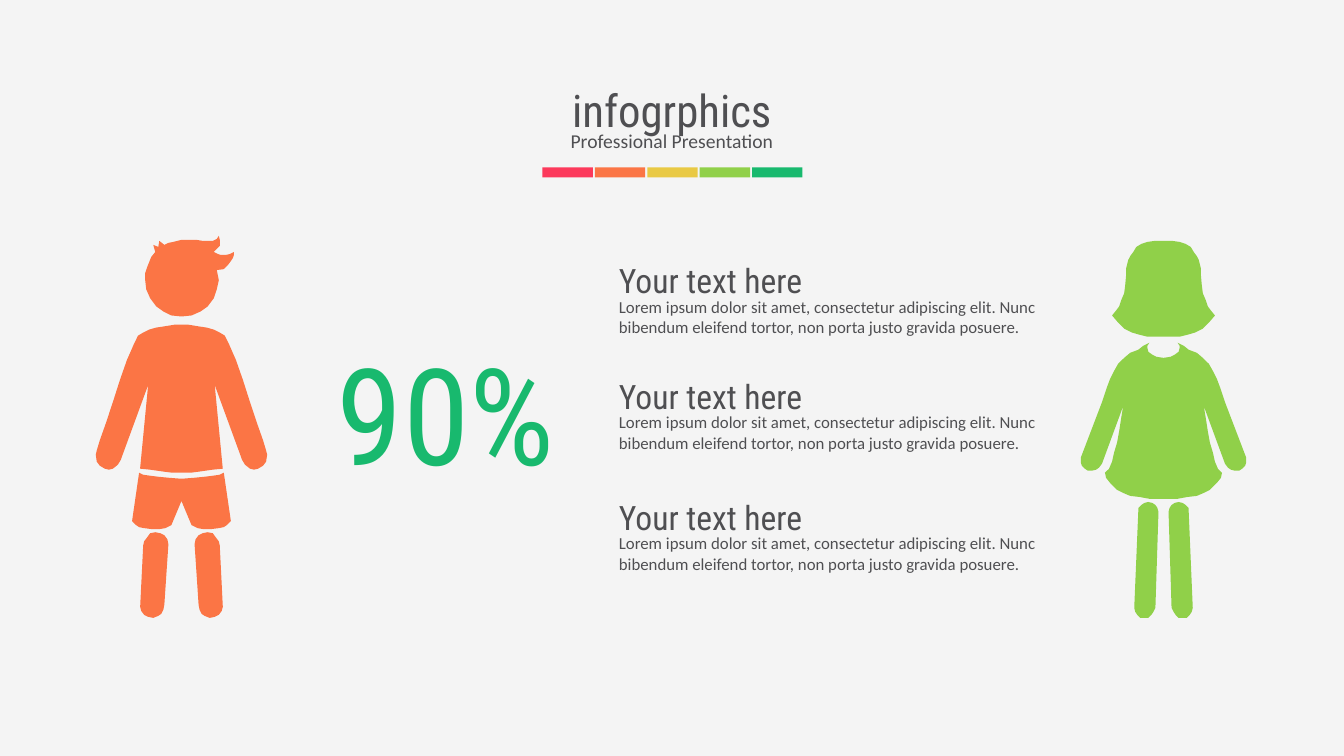
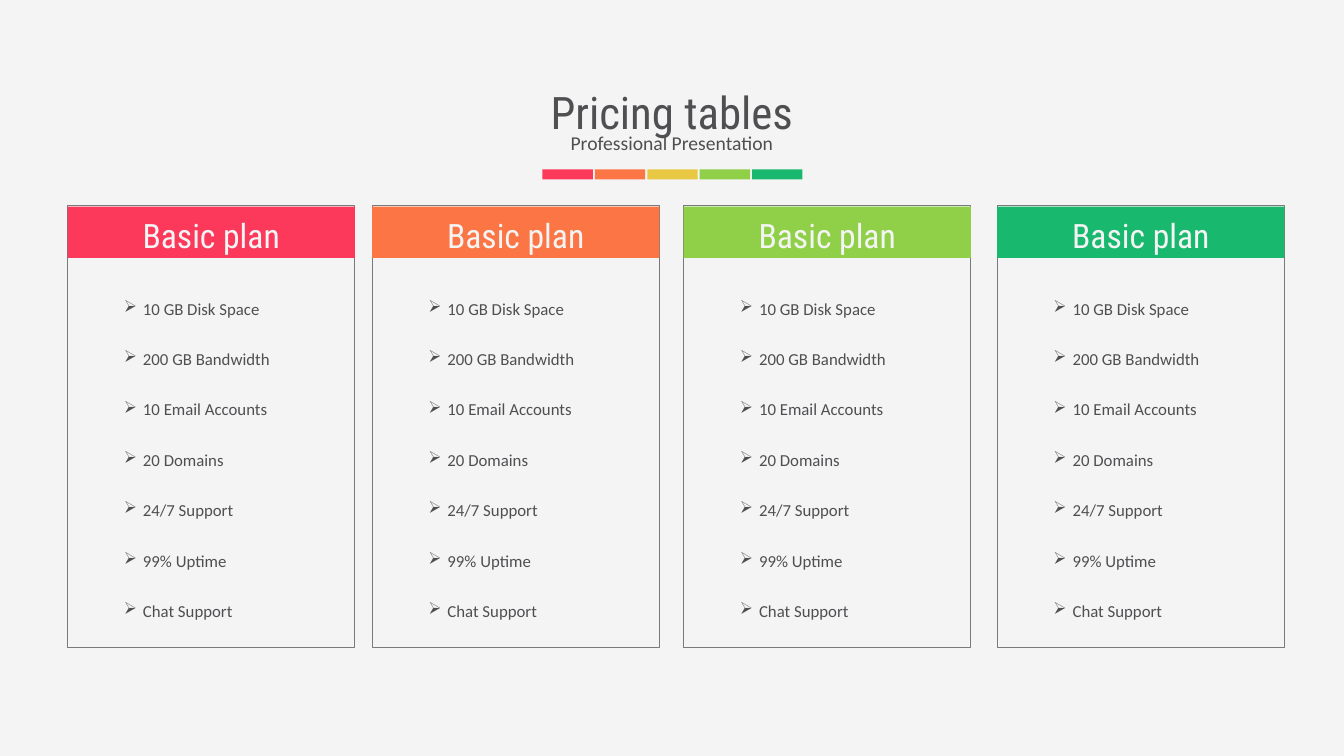
"""Build an infographic slide and a pricing slide that share one header style."""
from dataclasses import dataclass

from lxml.etree import SubElement
from pptx import Presentation
from pptx.dml.color import RGBColor
from pptx.enum.shapes import MSO_SHAPE
from pptx.enum.text import MSO_AUTO_SIZE, PP_ALIGN
from pptx.oxml.ns import qn
from pptx.presentation import Presentation as Deck
from pptx.slide import Slide
from pptx.util import Inches, Pt

COLORS = {
    "background": "F4F4F4",
    "text": "4F4F52",
    "border": "7A7A7A",
    "red": "FC395B",
    "orange": "FB7545",
    "yellow": "E9C944",
    "lime": "90D049",
    "green": "18B96E",
}
BAND_COLORS = ("red", "orange", "yellow", "lime", "green")
HEADING_FONT = "Roboto Condensed"
BODY_FONT = "Calibri"
SLIDE_WIDTH, SLIDE_HEIGHT = 13.33, 7.5

Points = list[tuple[float, float]]


@dataclass(frozen=True)
class Box:
    left: float
    top: float
    width: float
    height: float

    def lengths(self) -> list[Inches]:
        return [Inches(n) for n in (self.left, self.top, self.width, self.height)]


@dataclass(frozen=True)
class TextStyle:
    font: str
    size: int
    color: str = "text"
    align: PP_ALIGN = PP_ALIGN.LEFT
    spacing: float | None = None
    bullet: str | None = None


@dataclass(frozen=True)
class Plan:
    left: float
    color: str


@dataclass(frozen=True)
class Figure:
    axis: float
    color: str
    halves: tuple[Points, ...]
    leg: Points
    head: Points


TITLE = TextStyle(HEADING_FONT, 32, align=PP_ALIGN.CENTER)
SUBTITLE = TextStyle(BODY_FONT, 14, align=PP_ALIGN.CENTER)
CAPTION = TextStyle(HEADING_FONT, 24)
BODY = TextStyle(BODY_FONT, 12)
PERCENTAGE = TextStyle(HEADING_FONT, 96, "green", PP_ALIGN.CENTER)
PLAN_NAME = TextStyle(HEADING_FONT, 24, "background", PP_ALIGN.CENTER)
FEATURE = TextStyle(BODY_FONT, 12, spacing=2.5, bullet="➢")

CAPTION_TOPS = (2.53, 3.68, 4.88)
LOREM = (
    "Lorem ipsum dolor sit amet, consectetur adipiscing elit. "
    "Nunc bibendum eleifend tortor, non porta justo gravida posuere."
)
FEATURES = (
    "10 GB Disk Space",
    "200 GB Bandwidth",
    "10 Email Accounts",
    "20 Domains",
    "24/7 Support",
    "99% Uptime",
    "Chat Support",
)
PLANS = (
    Plan(0.67, "red"),
    Plan(3.69, "orange"),
    Plan(6.78, "lime"),
    Plan(9.89, "green"),
)

BOY_SHIRT = [
    (1.8, 3.22), (1.86, 3.22), (1.98, 3.24), (2.05, 3.25), (2.12, 3.27),
    (2.18, 3.3), (2.23, 3.33), (2.27, 3.41), (2.3, 3.48), (2.34, 3.57),
    (2.41, 3.77), (2.48, 3.99), (2.55, 4.2), (2.61, 4.37), (2.64, 4.47),
    (2.65, 4.51), (2.64, 4.58), (2.61, 4.62), (2.56, 4.65), (2.52, 4.66),
    (2.48, 4.65), (2.43, 4.61), (2.4, 4.56), (2.39, 4.53), (2.13, 3.82),
    (2.21, 4.65), (2.11, 4.66), (1.97, 4.68), (1.89, 4.69), (1.8, 4.69),
]
BOY_SHORTS = [
    (1.8, 4.75), (1.93, 4.74), (2.03, 4.73), (2.11, 4.72), (2.18, 4.71),
    (2.22, 4.69), (2.29, 5.17), (2.25, 5.21), (2.22, 5.23), (2.17, 5.24),
    (2.09, 5.25), (2.02, 5.25), (1.96, 5.24), (1.9, 5.21), (1.8, 4.97),
]
BOY_LEG = [
    (2.06, 5.28), (2.11, 5.29), (2.14, 5.33), (2.17, 5.37), (2.18, 5.41),
    (2.21, 6.02), (2.2, 6.06), (2.17, 6.1), (2.13, 6.12), (2.08, 6.13),
    (2.03, 6.11), (2, 6.09), (1.98, 6.05), (1.97, 6), (1.93, 5.4),
    (1.94, 5.35), (1.97, 5.31), (2.01, 5.29),
]
BOY_HEAD = [
    (2.17, 2.34), (2.18, 2.38), (2.18, 2.44), (2.15, 2.47), (2.12, 2.5),
    (2.16, 2.52), (2.19, 2.53), (2.24, 2.53), (2.28, 2.52), (2.32, 2.5),
    (2.32, 2.53), (2.31, 2.56), (2.29, 2.59), (2.26, 2.63), (2.22, 2.67),
    (2.15, 2.68), (2.17, 2.78), (2.15, 2.87), (2.12, 2.96), (2.06, 3.04),
    (1.99, 3.09), (1.9, 3.13), (1.8, 3.14), (1.7, 3.13), (1.62, 3.09),
    (1.55, 3.04), (1.49, 2.96), (1.45, 2.87), (1.44, 2.78), (1.44, 2.71),
    (1.46, 2.65), (1.48, 2.6), (1.5, 2.55), (1.54, 2.5), (1.52, 2.43),
    (1.57, 2.45), (1.58, 2.39), (1.63, 2.43), (1.67, 2.41), (1.72, 2.4),
    (1.8, 2.38), (1.95, 2.38), (2.01, 2.39), (2.11, 2.39), (2.15, 2.37),
]
GIRL_DRESS = [
    (11.54, 3.55), (11.61, 3.54), (11.65, 3.52), (11.69, 3.49), (11.7, 3.45),
    (11.7, 3.43), (11.68, 3.4), (11.74, 3.43), (11.79, 3.47), (11.87, 3.5),
    (11.93, 3.55), (11.99, 3.61), (12.03, 3.68), (12.07, 3.76), (12.1, 3.84),
    (12.15, 3.99), (12.36, 4.54), (12.36, 4.59), (12.35, 4.62), (12.32, 4.65),
    (12.29, 4.67), (12.25, 4.67), (12.21, 4.66), (12.18, 4.64), (12.15, 4.6),
    (11.94, 4.03), (11.96, 4.15), (11.98, 4.28), (12, 4.39), (12.03, 4.49),
    (12.05, 4.58), (12.08, 4.65), (12.12, 4.69), (12.11, 4.74), (12.07, 4.79),
    (12.04, 4.82), (12, 4.86), (11.94, 4.89), (11.87, 4.92), (11.78, 4.93),
    (11.67, 4.95), (11.54, 4.95),
]
GIRL_LEG = [
    (11.69, 4.98), (11.73, 4.99), (11.76, 5.01), (11.79, 5.04), (11.79, 5.08),
    (11.83, 6.03), (11.82, 6.07), (11.8, 6.1), (11.77, 6.13), (11.69, 6.13),
    (11.66, 6.1), (11.64, 6.07), (11.62, 6.03), (11.59, 5.08), (11.6, 5.04),
    (11.62, 5.01), (11.65, 4.99),
]
GIRL_HAIR = [
    (11.54, 2.39), (11.63, 2.39), (11.7, 2.4), (11.76, 2.42), (11.81, 2.45),
    (11.84, 2.5), (11.87, 2.54), (11.89, 2.58), (11.9, 2.62), (11.91, 2.66),
    (11.91, 2.72), (11.92, 2.83), (11.93, 2.91), (11.96, 2.98), (11.98, 3.04),
    (12.01, 3.08), (12.05, 3.13), (11.99, 3.2), (11.93, 3.26), (11.85, 3.3),
    (11.78, 3.32), (11.7, 3.34), (11.54, 3.34),
]


def mirror(points: Points, axis: float) -> Points:
    return [(2 * axis - x, y) for x, y in reversed(points)]


BOY = Figure(1.8, "orange", (BOY_SHIRT, BOY_SHORTS), BOY_LEG, BOY_HEAD)
GIRL = Figure(
    11.54, "lime", (GIRL_DRESS,), GIRL_LEG, GIRL_HAIR + mirror(GIRL_HAIR, 11.54)
)


def rgb(color: str) -> RGBColor:
    return RGBColor.from_string(COLORS[color])


def add_text(slide: Slide, box: Box, lines: tuple[str, ...], style: TextStyle) -> None:
    frame = slide.shapes.add_textbox(*box.lengths()).text_frame
    frame.word_wrap = True
    frame.auto_size = MSO_AUTO_SIZE.SHAPE_TO_FIT_TEXT
    frame.text = "\n".join(lines)
    for paragraph in frame.paragraphs:
        paragraph.alignment = style.align
        if style.spacing:
            paragraph.line_spacing = style.spacing
        if style.bullet:
            properties = paragraph._p.get_or_add_pPr()
            properties.set("marL", str(Inches(0.19)))
            properties.set("indent", str(Inches(-0.19)))
            SubElement(properties, qn("a:buChar")).set("char", style.bullet)
        paragraph.font.name = style.font
        paragraph.font.size = Pt(style.size)
        paragraph.font.color.rgb = rgb(style.color)


def add_rectangle(
    slide: Slide, box: Box, fill: str | None = None, line: str | None = None
) -> None:
    rectangle = slide.shapes.add_shape(MSO_SHAPE.RECTANGLE, *box.lengths())
    rectangle.shadow.inherit = False
    if fill:
        rectangle.fill.solid()
        rectangle.fill.fore_color.rgb = rgb(fill)
    else:
        rectangle.fill.background()
    if line:
        rectangle.line.color.rgb = rgb(line)
        rectangle.line.width = Pt(0)
    else:
        rectangle.line.fill.background()


def add_outline(slide: Slide, points: Points, color: str) -> None:
    start, *rest = [(Inches(x), Inches(y)) for x, y in points]
    builder = slide.shapes.build_freeform(*start)
    builder.add_line_segments(rest, close=True)
    outline = builder.convert_to_shape()
    outline.shadow.inherit = False
    outline.fill.solid()
    outline.fill.fore_color.rgb = rgb(color)
    outline.line.fill.background()


def add_figure(slide: Slide, figure: Figure) -> None:
    parts = [half + mirror(half, figure.axis) for half in figure.halves]
    parts += [figure.leg, mirror(figure.leg, figure.axis), figure.head]
    for points in parts:
        add_outline(slide, points, figure.color)


def add_slide(deck: Deck, title: str, top: float) -> Slide:
    slide = deck.slides.add_slide(deck.slide_layouts[6])
    slide.background.fill.solid()
    slide.background.fill.fore_color.rgb = rgb("background")
    add_text(slide, Box(0, top, SLIDE_WIDTH, 0.64), (title,), TITLE)
    subtitle = Box(0.68, top + 0.46, 11.97, 0.34)
    add_text(slide, subtitle, ("Professional Presentation",), SUBTITLE)
    for index, color in enumerate(BAND_COLORS):
        band = Box(5.38 + 0.52 * index, top + 0.89, 0.5, 0.1)
        add_rectangle(slide, band, fill=color)
    return slide


def add_infographic(deck: Deck) -> None:
    slide = add_slide(deck, "infogrphics", 0.77)
    for figure in (BOY, GIRL):
        add_figure(slide, figure)
    for top in CAPTION_TOPS:
        add_text(slide, Box(6.04, top + 0.36, 4.67, 0.5), (LOREM,), BODY)
        add_text(slide, Box(6.04, top, 4.67, 0.5), ("Your text here",), CAPTION)
    add_text(slide, Box(3.12, 3.24, 2.6, 1.72), ("90%",), PERCENTAGE)


def add_pricing(deck: Deck) -> None:
    slide = add_slide(deck, "Pricing tables", 0.79)
    for plan in PLANS:
        add_rectangle(slide, Box(plan.left, 2.04, 2.85, 4.38), line="border")
        add_text(slide, Box(plan.left + 0.46, 2.61, 1.93, 3.64), FEATURES, FEATURE)
        add_rectangle(slide, Box(plan.left, 2.05, 2.85, 0.51), fill=plan.color)
        add_text(slide, Box(plan.left, 2.08, 2.85, 0.5), ("Basic plan",), PLAN_NAME)


def main() -> None:
    deck = Presentation()
    deck.slide_width = Inches(SLIDE_WIDTH)
    deck.slide_height = Inches(SLIDE_HEIGHT)
    add_infographic(deck)
    add_pricing(deck)
    deck.save("out.pptx")


if __name__ == "__main__":
    main()
